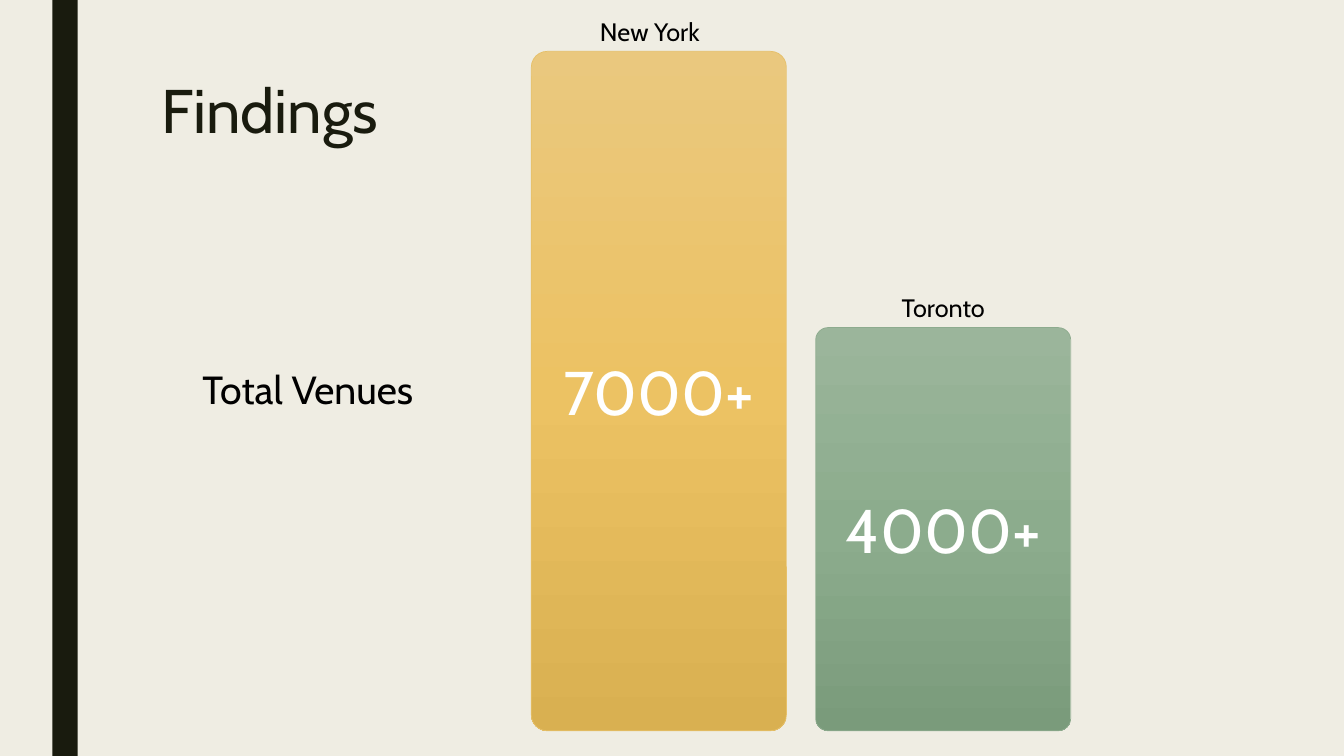
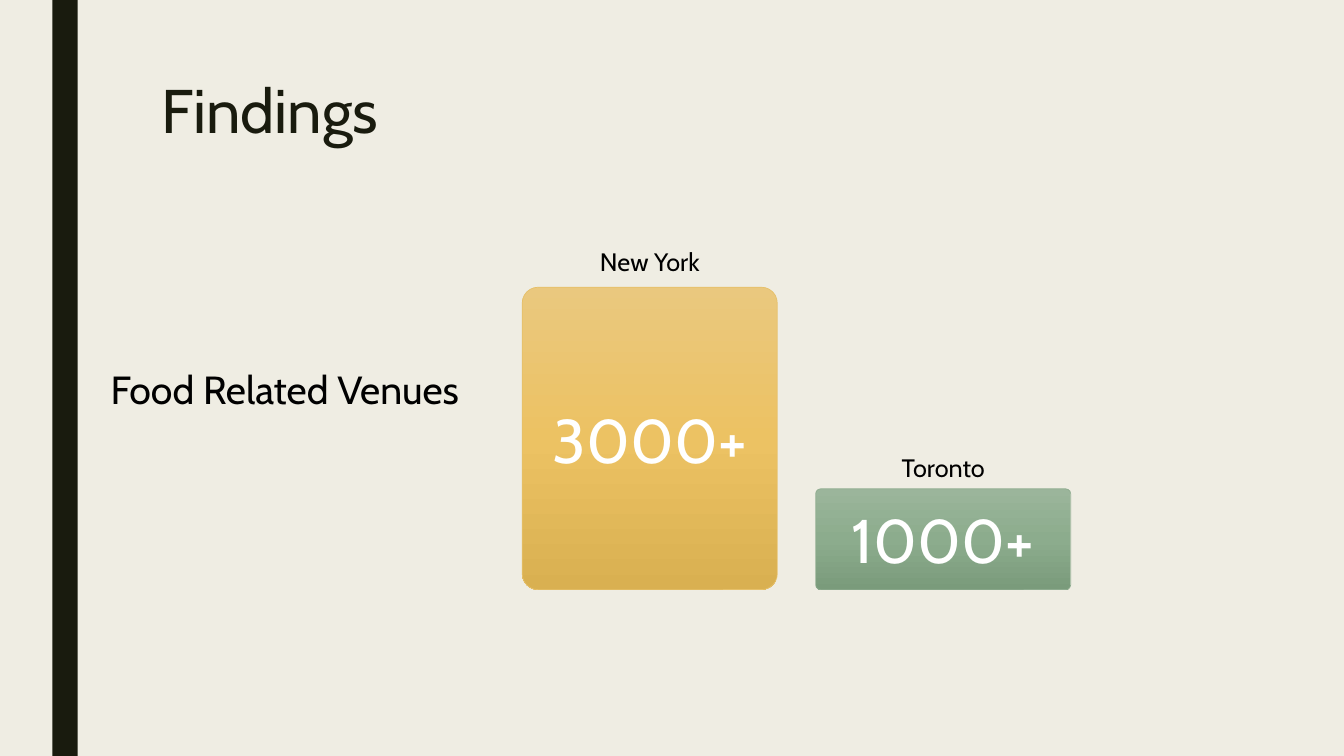
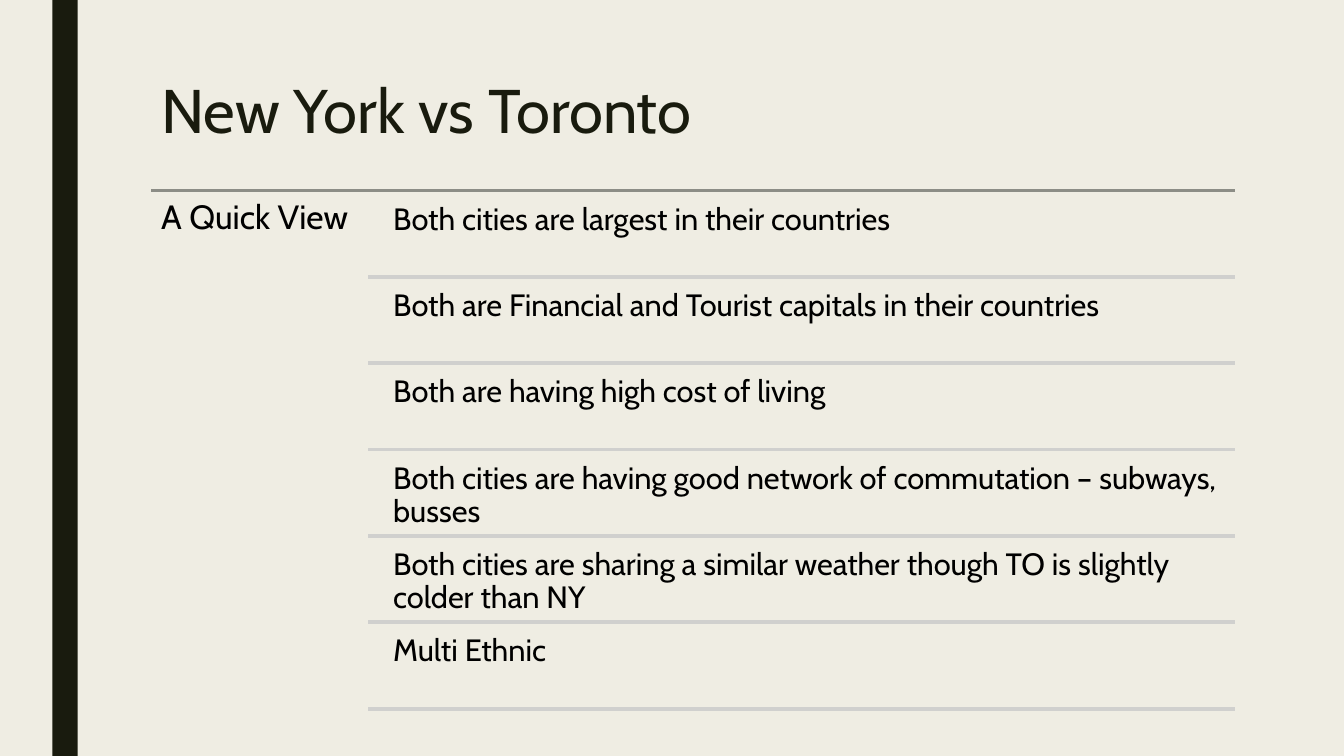
import copy

import pptx
import pptx.dml.color
import pptx.enum.shapes
import pptx.enum.text
import pptx.oxml
import pptx.util

Inches, Pt = pptx.util.Inches, pptx.util.Pt
RGB = pptx.dml.color.RGBColor.from_string
ALIGN = pptx.enum.text.PP_ALIGN
ANCHOR = pptx.enum.text.MSO_ANCHOR
SHAPE = pptx.enum.shapes.MSO_SHAPE

FONT = "Cabin"
COLORS = {
    "background": "EFEDE3",
    "dark": "191B0E",
    "text": "000000",
    "white": "FFFFFF",
    "top_rule": "8C8D86",
    "row_rule": "D0D0CE",
}

# Content
CITIES = {
    "New York": {"gradient": ("EAC87E", "ECC263", "D9B051"), "line": "E6C069",
                 "corner": 0.062, "label_left": 5.81},
    "Toronto": {"gradient": ("9BB59B", "8CAC8D", "7A9B7B"), "line": "8DAB8E",
                "corner": 0.049, "label_left": 8.72},
}
FINDINGS = [
    {"heading": "Total Venues", "heading_box": (1.91, 3.58, 2.76, 0.57),
     "baseline": 7.25,
     # city, venues, bar left, bar height, label top
     "bars": [("New York", "7000+", 5.27, 6.74, 0.11),
              ("Toronto", "4000+", 8.09, 4, 2.85)]},
    {"heading": "Food Related Venues", "heading_box": (1, 3.58, 3.67, 0.57),
     "baseline": 5.85,
     "bars": [("New York", "3000+", 5.18, 3, 2.39),
              ("Toronto", "1000+", 8.09, 1, 4.44)]},
]
COMPARISON_TITLE = "New York vs Toronto"
COMPARISON_HEADING = "A Quick View"
COMPARISON = [
    "Both cities are largest in their countries",
    "Both are Financial and Tourist capitals in their countries",
    "Both are having high cost of living",
    "Both cities are having good network of commutation – subways, busses",
    "Both cities are sharing a similar weather though TO is slightly colder than NY",
    "Multi Ethnic",
]

# Layout, in inches
BAR_WIDTH = 2.53
LABEL_WIDTH, LABEL_HEIGHT = 1.27, 0.4
LIST_TOP, LIST_BOTTOM = 1.89, 7.03
LIST_LEFT, ROWS_LEFT, LIST_RIGHT = 1.5, 3.65, 12.25


def write(frame, text, size, color, align=ALIGN.LEFT, spacing=None):
    paragraph = frame.paragraphs[0]
    paragraph.alignment = align
    if spacing:
        paragraph.line_spacing = spacing
    run = paragraph.add_run()
    run.text = text
    run.font.name = FONT
    run.font.size = Pt(size)
    run.font.color.rgb = RGB(COLORS[color])


def add_text(slide, box, text, size, align=ALIGN.LEFT, spacing=None, inset=None):
    frame = slide.shapes.add_textbox(*map(Inches, box)).text_frame
    frame.word_wrap = True
    if inset:
        frame.margin_left = frame.margin_right = Inches(inset)
        frame.margin_top = frame.margin_bottom = Inches(inset)
    write(frame, text, size, "text", align, spacing)


def add_rule(slide, left, y, color):
    rule = slide.shapes.add_connector(
        pptx.enum.shapes.MSO_CONNECTOR.STRAIGHT,
        Inches(left), Inches(y), Inches(LIST_RIGHT), Inches(y))
    rule.line.color.rgb = RGB(COLORS[color])
    rule.line.width = Pt(2.75)
    rule.element.spPr.append(pptx.oxml.parse_xml(
        '<a:effectLst xmlns:a="http://schemas.openxmlformats.org/drawingml/2006/main"/>'))


def add_bar(slide, city, venues, left, top, height):
    style = CITIES[city]
    bar = slide.shapes.add_shape(
        SHAPE.ROUNDED_RECTANGLE, *map(Inches, (left, top, BAR_WIDTH, height)))
    bar.adjustments[0] = style["corner"]
    bar.shadow.inherit = False
    bar.line.color.rgb = RGB(style["line"])
    bar.line.width = Pt(0.5)
    # A third stop goes between the two default ones
    bar.fill.gradient()
    bar.fill.gradient_angle = 270
    stop_list = bar.element.xpath(".//a:gsLst")[0]
    stop_list.insert(1, copy.deepcopy(stop_list[0]))
    for i, (stop, color) in enumerate(zip(bar.fill.gradient_stops, style["gradient"])):
        stop.position = i / 2
        stop.color.rgb = RGB(color)
    bar.text_frame.vertical_anchor = ANCHOR.MIDDLE
    write(bar.text_frame, venues, 44, "white", ALIGN.CENTER)


def add_slide(prs, title):
    slide = prs.slides.add_slide(prs.slide_layouts[5])
    heading = slide.shapes.title
    heading.left, heading.top = Inches(1.5), Inches(0.75)
    heading.width, heading.height = Inches(10.5), Inches(1.62)
    frame = heading.text_frame
    frame.word_wrap = True
    frame.auto_size = pptx.enum.text.MSO_AUTO_SIZE.NONE
    frame.vertical_anchor = ANCHOR.TOP
    write(frame, title, 44, "dark", spacing=0.89)
    return slide


def style_master(prs, slide):
    """Set the shared background, and move a side band to the master."""
    master = prs.slide_master
    master.background.fill.solid()
    master.background.fill.fore_color.rgb = RGB(COLORS["background"])
    band = slide.shapes.add_shape(
        SHAPE.RECTANGLE, Inches(0.52), 0, Inches(0.25), prs.slide_height)
    band.shadow.inherit = False
    band.fill.solid()
    band.fill.fore_color.rgb = RGB(COLORS["dark"])
    band.line.fill.background()
    master.shapes.element.insert(2, band.element)


def add_finding(prs, finding):
    slide = add_slide(prs, "Findings")
    for city, venues, left, height, label_top in finding["bars"]:
        add_bar(slide, city, venues, left, finding["baseline"] - height, height)
        label_box = (CITIES[city]["label_left"], label_top, LABEL_WIDTH, LABEL_HEIGHT)
        add_text(slide, label_box, city, 18, ALIGN.CENTER)
    add_text(slide, finding["heading_box"], finding["heading"], 28)


def add_comparison(prs):
    slide = add_slide(prs, COMPARISON_TITLE)
    add_rule(slide, LIST_LEFT, LIST_TOP, "top_rule")
    add_text(slide, (LIST_LEFT, LIST_TOP, ROWS_LEFT - LIST_LEFT, 5.18),
             COMPARISON_HEADING, 24, spacing=0.9, inset=0.1)
    step = (LIST_BOTTOM - LIST_TOP) / len(COMPARISON)
    text_left = ROWS_LEFT + 0.16
    for i, point in enumerate(COMPARISON):
        top = LIST_TOP + i * step
        add_text(slide, (text_left, top + 0.04, LIST_RIGHT - text_left, step - 0.04),
                 point, 22, spacing=0.9, inset=0.09)
        add_rule(slide, ROWS_LEFT, top + step, "row_rule")


def main():
    prs = pptx.Presentation()
    prs.slide_width, prs.slide_height = Inches(13.33), Inches(7.5)
    for finding in FINDINGS:
        add_finding(prs, finding)
    add_comparison(prs)
    style_master(prs, prs.slides[0])
    prs.save("out.pptx")


if __name__ == "__main__":
    main()
